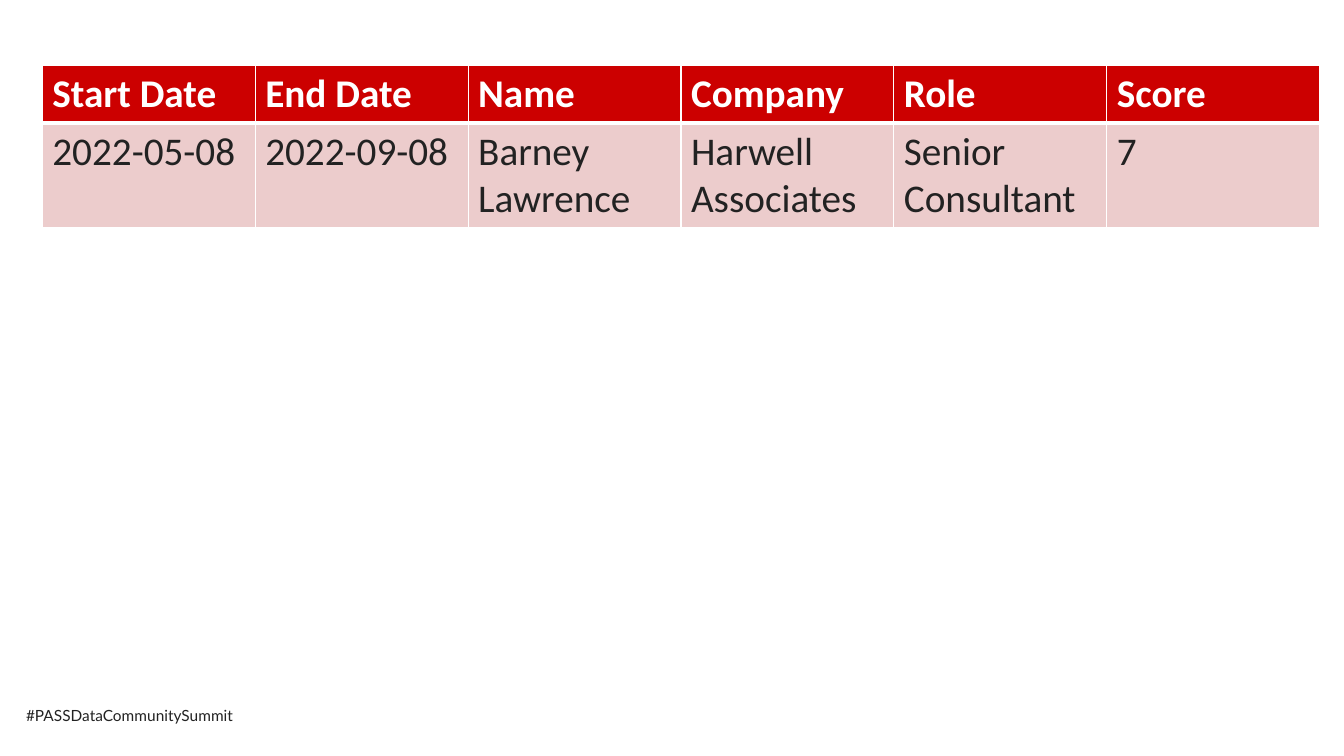
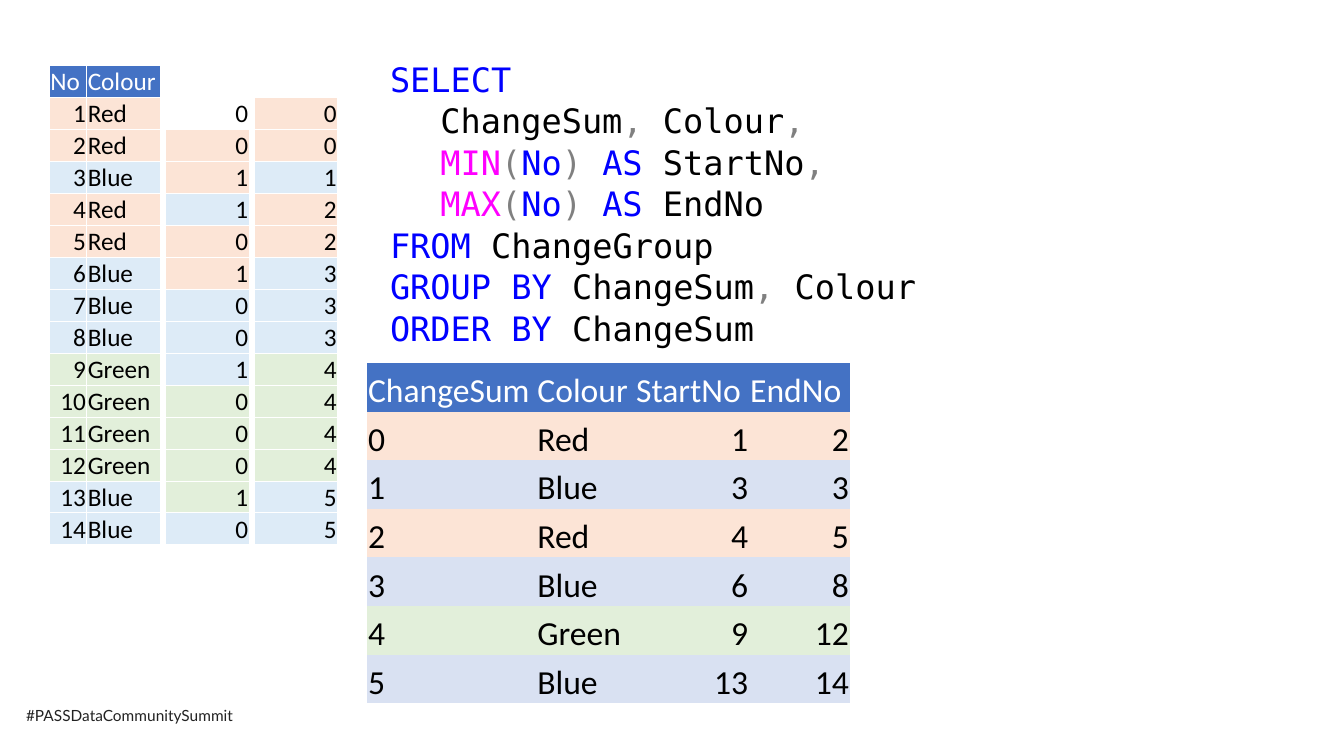
from dataclasses import dataclass
from itertools import accumulate, groupby

from lxml import etree
from pptx import Presentation
from pptx import util as u
from pptx.dml.color import RGBColor
from pptx.enum import text
from pptx.oxml import ns


@dataclass(frozen=True)
class Theme:
    body_font: str = "Calibri"
    code_font: str = "DejaVu Sans Mono"
    footer_font: str = "Lato"
    footer_size: int = 11
    small: int = 18
    medium: int = 24
    large: int = 28
    white: str = "FFFFFF"
    black: str = "000000"
    ink: str = "222222"
    red: str = "CC0000"
    pink: str = "ECCCCC"
    header_blue: str = "4472C4"
    red_tint: str = "FCE4D6"
    blue_tint: str = "DDEBF7"
    green_tint: str = "E2EFDA"
    group_blue: str = "D9E1F2"
    keyword: str = "0000FF"
    function: str = "FF00FF"
    punctuation: str = "808080"


theme = Theme()
PLAIN_TABLE = "{2D5ABB26-0587-4C30-8999-92F81FD0307C}"

deck = Presentation()
deck.slide_width, deck.slide_height = u.Inches(13.33), u.Inches(7.5)
# All lengths count columns and rows of a 100 by 100 grid
COLUMN, ROW = deck.slide_width / 100, deck.slide_height / 100
TOP = 8.67


def style(para, font, size, color, bold=False):
    for span in para.runs:
        span.font.name, span.font.size, span.font.bold = font, u.Pt(size), bold
        span.font.color.rgb = RGBColor.from_string(color)


def add_grid(slide, left, top, widths, heights, rows, fills, size, colors,
             borders=None, right=(), tight=True, bold_header=False):
    """Add a table; fills and colors hold one entry per row, borders one
    (top, bottom, side) width triple per row, and right the columns aligned right
    below a header."""
    frame = slide.shapes.add_table(
        len(rows), len(widths), round(left * COLUMN), round(top * ROW),
        round(sum(widths) * COLUMN), round(sum(heights) * ROW))
    table = frame.table
    table.first_row = table.horz_banding = False
    frame.element.find(".//" + ns.qn("a:tableStyleId")).text = PLAIN_TABLE
    for column, width in zip(table.columns, widths):
        column.width = round(width * COLUMN)
    for number, (values, height) in enumerate(zip(rows, heights)):
        table.rows[number].height = round(height * ROW)
        for position, value in enumerate(values):
            cell = table.cell(number, position)
            cell.text_frame.text = str(value)
            para = cell.text_frame.paragraphs[0]
            style(para, theme.body_font, size, colors[number],
                  bold_header and number == 0)
            if position in right and colors[number] != theme.white:
                para.alignment = text.PP_ALIGN.RIGHT
            if tight:
                cell.vertical_anchor = text.MSO_ANCHOR.BOTTOM
                cell.margin_left = cell.margin_right = cell.margin_top = u.Inches(0.01)
                cell.margin_bottom = 0
            if borders:
                above, below, side = borders[number]
                properties = cell._tc.get_or_add_tcPr()
                for edge, width in zip("LRTB", (side, side, above, below)):
                    line = etree.SubElement(properties, ns.qn("a:ln" + edge),
                                            w=str(u.Pt(width)))
                    solid = etree.SubElement(line, ns.qn("a:solidFill"))
                    etree.SubElement(solid, ns.qn("a:srgbClr"), val=theme.white)
            cell.fill.solid()
            cell.fill.fore_color.rgb = RGBColor.from_string(fills[number])


# Shared layout with the footer
layout = deck.slide_layouts[6]
for placeholder in list(layout.placeholders):
    layout.shapes.element.remove(placeholder.element)
profile_slide, query_slide = [deck.slides.add_slide(layout) for _ in range(2)]

footer = profile_slide.shapes.add_textbox(
    round(1.2 * COLUMN), round(92.8 * ROW), round(17.55 * COLUMN), round(3.87 * ROW))
footer.text_frame.text = "#PASSDataCommunitySummit"
style(footer.text_frame.paragraphs[0], theme.footer_font, theme.footer_size, theme.ink)
layout.shapes.element.append(footer.element)

# Slide 1: one dated record
add_grid(
    profile_slide, 3.15, TOP, [15.84] * 6, [7.47, 13.87],
    [["Start Date", "End Date", "Name", "Company", "Role", "Score"],
     ["2022-05-08", "2022-09-08", "Barney Lawrence", "Harwell Associates",
      "Senior Consultant", "7"]],
    [theme.red, theme.pink], theme.large, [theme.white, theme.ink],
    borders=[(1, 3, 1), (3, 1, 1)], tight=False, bold_header=True)

# Slide 2: numbered colours, change flags and their running sum
colours = (["Red"] * 2 + ["Blue"] + ["Red"] * 2 + ["Blue"] * 3
           + ["Green"] * 4 + ["Blue"] * 2)
tints = {"Red": theme.red_tint, "Blue": theme.blue_tint, "Green": theme.green_tint}
row_fills = [tints[colour] for colour in colours]
flags = [0] + [int(now != before) for before, now in zip(colours, colours[1:])]
sums = list(accumulate(flags))
count = len(colours)
STEP = 4.23
thin = [(0.5, 0.5, 0.5)] * (count + 1)

add_grid(
    query_slide, 3.68, TOP, [2.78, 5.48], [STEP] * (count + 1),
    [["No", "Colour"], *enumerate(colours, 1)], [theme.header_blue, *row_fills],
    theme.small, [theme.white] + [theme.black] * count, thin, right=[0])
for left, values, fills in (
        (12.3, flags, [theme.white, *row_fills[:-1]]),
        (18.9, sums, row_fills)):
    add_grid(query_slide, left, TOP + STEP, [6.23], [STEP] * count,
             [[value] for value in values], fills, theme.small,
             [theme.black] * count, thin, right=[0])

# Query: each line is an indent level and coloured pieces
K, F, P, N = theme.keyword, theme.function, theme.punctuation, theme.black
query = [
    (0, [("SELECT", K)]),
    (1, [("ChangeSum", N), (",", P), (" Colour", N), (",", P)]),
    (1, [("MIN", F), ("(", P), ("No", K), (") ", P), ("AS ", K), ("StartNo", N), (",", P)]),
    (1, [("MAX", F), ("(", P), ("No", K), (") ", P), ("AS ", K), ("EndNo", N)]),
    (0, [("FROM ", K), ("ChangeGroup", N)]),
    (0, [("GROUP BY ", K), ("ChangeSum", N), (",", P), (" Colour", N)]),
    (0, [("ORDER BY ", K), ("ChangeSum", N)]),
]
box = query_slide.shapes.add_textbox(
    round(28.28 * COLUMN), round(6.93 * ROW), round(50.04 * COLUMN), round(39.07 * ROW))
box.text_frame.word_wrap = True
for number, (level, pieces) in enumerate(query):
    para = box.text_frame.add_paragraph() if number else box.text_frame.paragraphs[0]
    para.level, para.line_spacing = level, 1.03
    indent = para._p.get_or_add_pPr()
    indent.set("marL", str(u.Inches(0.5 * level)))
    indent.set("indent", "0")
    for words, color in pieces:
        span = para.add_run()
        span.text = words
        span.font.name, span.font.size = theme.code_font, u.Pt(theme.medium)
        span.font.color.rgb = RGBColor.from_string(color)

# Result: first and last number of each run of one colour
groups = []
for (total, colour), members in groupby(
        zip(sums, colours, range(1, count + 1)), key=lambda item: item[:2]):
    numbers = [member[2] for member in members]
    groups.append([total, colour, numbers[0], numbers[-1]])
group_tints = {**tints, "Blue": theme.group_blue}
add_grid(
    query_slide, 27.31, 48, [12.6, 7.35, 8.48, 7.5], [6.44] * (len(groups) + 1),
    [["ChangeSum", "Colour", "StartNo", "EndNo"], *groups],
    [theme.header_blue] + [group_tints[group[1]] for group in groups],
    theme.medium, [theme.white] + [theme.black] * len(groups), right=[2, 3])

deck.save("out.pptx")
